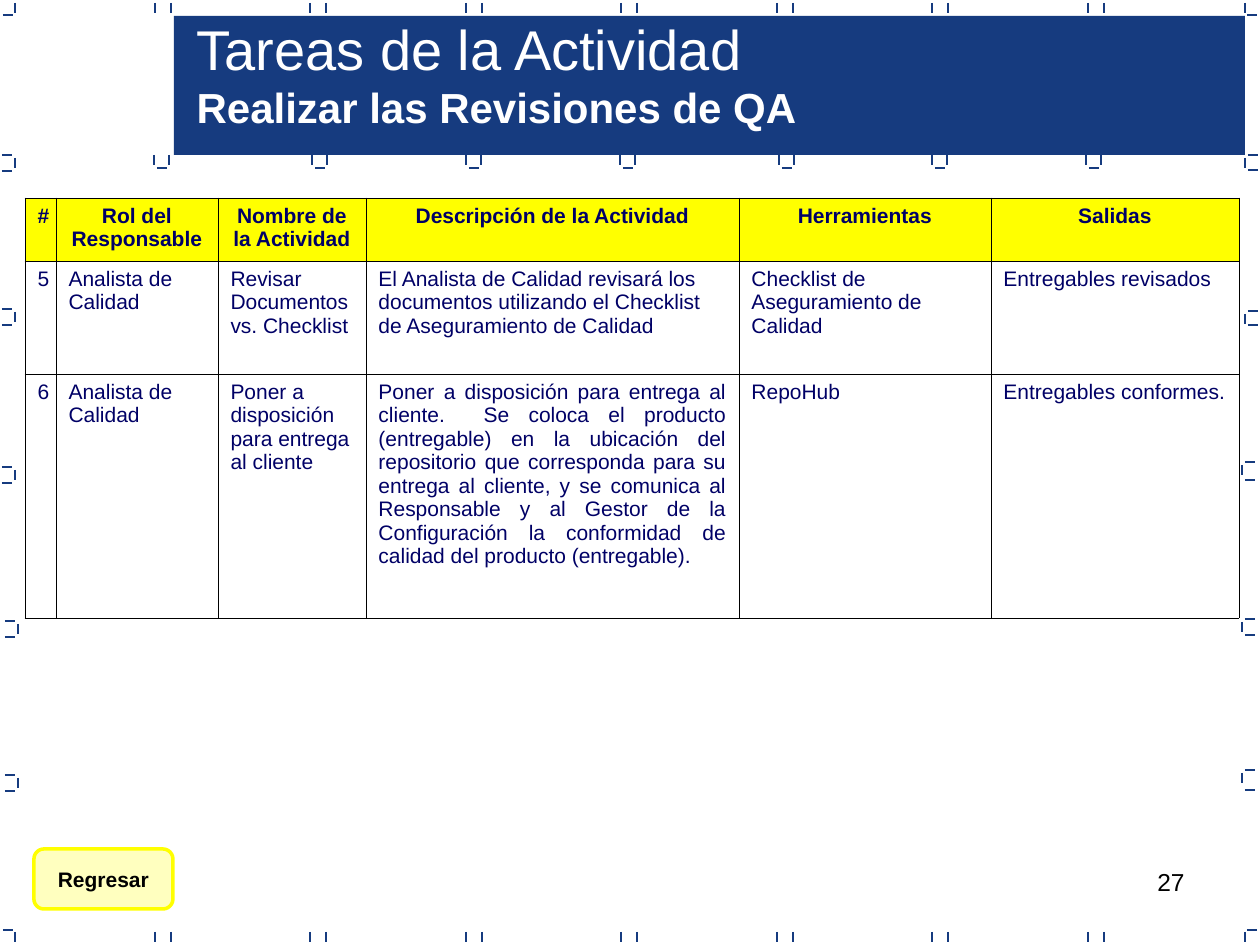
from dataclasses import dataclass

from lxml import etree
from pptx import Presentation
from pptx import util as u
from pptx.dml import color
from pptx.enum import shapes, text
from pptx.oxml import ns

EMU_PER_PX = 914400 / 126
FONT = "Arial"
BLUE, NAVY, YELLOW, BLACK, WHITE = "163B7F", "000066", "FFFF00", "000000", "FFFFFF"
DASH = 10
INSET = 3
LEFT, CENTER, RIGHT, JUSTIFY = (
    text.PP_ALIGN.LEFT,
    text.PP_ALIGN.CENTER,
    text.PP_ALIGN.RIGHT,
    text.PP_ALIGN.JUSTIFY,
)


@dataclass(frozen=True)
class Dash:
    x: int
    y: int
    vertical: bool = False


@dataclass(frozen=True)
class SideBracket:
    x: int
    top: int
    bottom: int


@dataclass(frozen=True)
class Column:
    heading: str
    width: int
    align: text.PP_ALIGN = LEFT


@dataclass(frozen=True)
class Row:
    height: int
    values: tuple[str, ...]


LEFT_BRACKETS = [
    SideBracket(x, top, top + 16)
    for x, top in [(15, 155), (15, 309), (15, 467), (18, 621), (18, 775)]
]
RIGHT_BRACKETS = [
    SideBracket(1245, 155, 170),
    SideBracket(1245, 311, 325),
    SideBracket(1242, 462, 480),
    SideBracket(1242, 619, 635),
    SideBracket(1242, 770, 790),
]
BANNER_BRACKETS = [154, 312, 466, 620, 779, 932, 1086]

COLUMNS = [
    Column("#", 31, CENTER),
    Column("Rol del Responsable", 162),
    Column("Nombre de la Actividad", 148),
    Column("Descripción de la Actividad", 373),
    Column("Herramientas", 252),
    Column("Salidas", 248),
]
ROWS = [
    Row(63, tuple(column.heading for column in COLUMNS)),
    Row(113, (
        "5",
        "Analista de Calidad",
        "Revisar Documentos vs. Checklist",
        "El Analista de Calidad revisará los documentos utilizando el Checklist "
        "de Aseguramiento de Calidad",
        "Checklist de Aseguramiento de Calidad",
        "Entregables revisados",
    )),
    Row(244, (
        "6",
        "Analista de Calidad",
        "Poner a disposición para entrega al cliente",
        "Poner a disposición para entrega al cliente.  Se coloca el producto "
        "(entregable) en la ubicación del repositorio que corresponda para su "
        "entrega al cliente, y se comunica al Responsable y al Gestor de la "
        "Configuración la conformidad de calidad del producto (entregable).",
        "RepoHub",
        "Entregables conformes.",
    )),
]


def px(value: int) -> u.Emu:
    return u.Emu(round(value * EMU_PER_PX))


def box(*values: int) -> list[u.Emu]:
    return [px(value) for value in values]


def rgb(value: str) -> color.RGBColor:
    return color.RGBColor.from_string(value)


def format_paragraph(paragraph, size: int, fill: str, bold: bool = False, align=LEFT) -> None:
    paragraph.alignment = align
    for run in paragraph.runs:
        run.font.name = FONT
        run.font.size = u.Pt(size)
        run.font.bold = bold
        run.font.color.rgb = rgb(fill)


def frame_dashes() -> list[Dash]:
    dashes = []
    for y in (3, 932):
        for x in (15, 1245):
            dashes.append(Dash(x, y, True))
        for index in range(7):
            right = 171 + 311 * index // 2
            dashes += [Dash(right - 16, y, True), Dash(right, y, True)]
    for y in (15, 930):
        dashes += [Dash(3, y), Dash(1247, y)]
    for brackets, offset in ((LEFT_BRACKETS, -INSET - DASH), (RIGHT_BRACKETS, INSET)):
        for bracket in brackets:
            dashes += [
                Dash(bracket.x + offset, bracket.top),
                Dash(bracket.x, bracket.top + INSET, True),
                Dash(bracket.x + offset, bracket.bottom),
            ]
    for x in BANNER_BRACKETS:
        dashes += [Dash(x, 155, True), Dash(x + 15, 155, True), Dash(x + INSET, 168)]
    return dashes


def draw_dash(slide, dash: Dash) -> None:
    end_x = dash.x if dash.vertical else dash.x + DASH
    end_y = dash.y + DASH if dash.vertical else dash.y
    connector = slide.shapes.add_connector(
        shapes.MSO_CONNECTOR.STRAIGHT, *box(dash.x, dash.y, end_x, end_y)
    )
    connector.line.color.rgb = rgb(BLUE)
    connector.line.width = u.Pt(0.75)
    etree.SubElement(connector._element.spPr, ns.qn("a:effectLst"))


def draw_banner(slide) -> None:
    banner = slide.shapes.add_shape(shapes.MSO_SHAPE.RECTANGLE, *box(174, 16, 1071, 139))
    banner.shadow.inherit = False
    banner.fill.solid()
    banner.fill.fore_color.rgb = rgb(BLUE)
    banner.line.fill.background()


def draw_title(slide) -> None:
    title = slide.shapes.title
    title.left, title.top, title.width, title.height = box(184, 8, 824, 131)
    slide.shapes._spTree.append(title._element)
    frame = title.text_frame
    frame.text = "Tareas de la Actividad\nRealizar las Revisiones de QA"
    frame.vertical_anchor = text.MSO_ANCHOR.TOP
    frame.auto_size = text.MSO_AUTO_SIZE.SHAPE_TO_FIT_TEXT
    heading, subheading = frame.paragraphs
    format_paragraph(heading, 32, WHITE)
    format_paragraph(subheading, 24, WHITE, bold=True)


def set_borders(cell) -> None:
    properties = cell._tc.get_or_add_tcPr()
    for side in ("lnL", "lnR", "lnT", "lnB"):
        line = etree.SubElement(properties, ns.qn(f"a:{side}"), w=str(u.Pt(0.45)))
        fill = etree.SubElement(line, ns.qn("a:solidFill"))
        etree.SubElement(fill, ns.qn("a:srgbClr"), val=BLACK)


def draw_table(slide) -> None:
    width = sum(column.width for column in COLUMNS)
    height = sum(row.height for row in ROWS)
    table = slide.shapes.add_table(
        len(ROWS), len(COLUMNS), *box(25, 198, width, height)
    ).table
    table.horz_banding = False
    for index, column in enumerate(COLUMNS):
        table.columns[index].width = px(column.width)
    for row_index, row in enumerate(ROWS):
        table.rows[row_index].height = px(row.height)
        is_header = row_index == 0
        for column_index, value in enumerate(row.values):
            cell = table.cell(row_index, column_index)
            set_borders(cell)
            if is_header:
                cell.fill.solid()
                cell.fill.fore_color.rgb = rgb(YELLOW)
            else:
                cell.fill.background()
            cell.text_frame.text = value
            align = CENTER if is_header else COLUMNS[column_index].align
            format_paragraph(cell.text_frame.paragraphs[0], 12, NAVY, is_header, align)
    description = table.cell(2, 3).text_frame.paragraphs[0]
    description.alignment = JUSTIFY


def draw_return_button(slide) -> None:
    button = slide.shapes.add_shape(
        shapes.MSO_SHAPE.FLOWCHART_ALTERNATE_PROCESS, *box(34, 849, 139, 60)
    )
    button.shadow.inherit = False
    button.fill.solid()
    button.fill.fore_color.rgb = rgb(YELLOW)
    fill_color = button._element.spPr.find(".//" + ns.qn("a:srgbClr"))
    etree.SubElement(fill_color, ns.qn("a:alpha"), val="25000")
    button.line.color.rgb = rgb(YELLOW)
    button.line.width = u.Pt(2)
    button.text_frame.text = "Regresar"
    button.text_frame.word_wrap = False
    button.text_frame.vertical_anchor = text.MSO_ANCHOR.MIDDLE
    format_paragraph(button.text_frame.paragraphs[0], 12, BLACK, True, CENTER)


def draw_page_number(slide) -> None:
    number = slide.shapes.add_textbox(*box(903, 861, 294, 66))
    number.text_frame.word_wrap = True
    number.text_frame.text = "27"
    format_paragraph(number.text_frame.paragraphs[0], 14, BLACK, align=RIGHT)


def main() -> None:
    presentation = Presentation()
    presentation.slide_width, presentation.slide_height = box(1260, 945)
    slide = presentation.slides.add_slide(presentation.slide_layouts[5])
    draw_page_number(slide)
    draw_banner(slide)
    for dash in frame_dashes():
        draw_dash(slide, dash)
    draw_table(slide)
    draw_title(slide)
    draw_return_button(slide)
    presentation.save("out.pptx")


if __name__ == "__main__":
    main()
